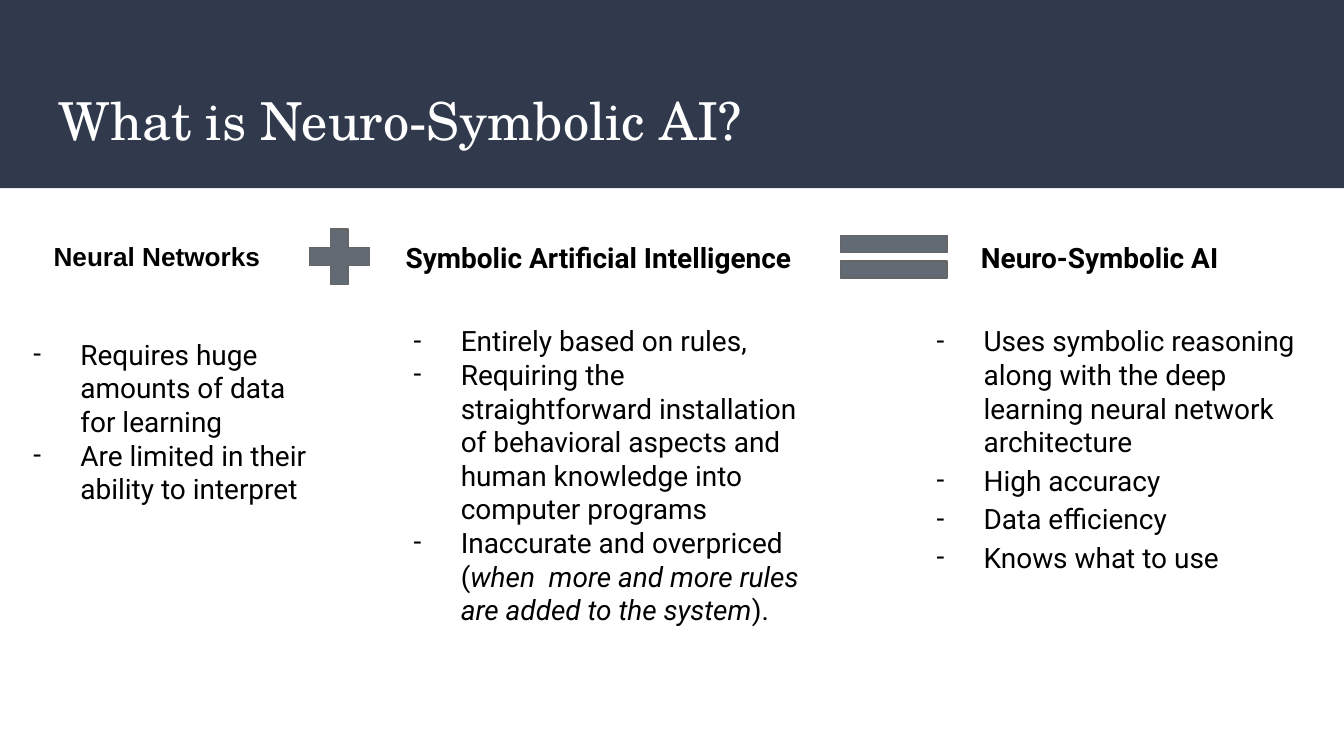
"""Build the slide that explains neuro-symbolic AI as a sum of two approaches."""
from dataclasses import dataclass

from lxml.etree import SubElement
from pptx import Presentation
from pptx.dml.color import RGBColor
from pptx.enum.shapes import MSO_SHAPE
from pptx.enum.text import MSO_ANCHOR
from pptx.oxml.ns import qn
from pptx.util import Inches, Pt


@dataclass(frozen=True)
class Theme:
    band: str = "31394D"
    title: str = "FFFFFF"
    text: str = "000000"
    sign: str = "626B73"
    sign_edge: str = "666666"
    title_font: str = "TeX Gyre Schola"
    body_font: str = "Roboto"
    plain_font: str = "Arial"
    title_size: int = 28
    body_size: int = 15
    plain_size: int = 14


class SlideBuilder:
    def __init__(self, slide, theme):
        self.slide = slide
        self.theme = theme

    def shape(self, kind, box, fill, edge=None, adjustments=()):
        shape = self.slide.shapes.add_shape(kind, *map(Inches, box))
        shape.shadow.inherit = False
        shape.fill.solid()
        shape.fill.fore_color.rgb = RGBColor.from_string(fill)
        if edge:
            shape.line.color.rgb = RGBColor.from_string(edge)
            shape.line.width = Pt(0.75)
        else:
            shape.line.fill.background()
        for index, value in enumerate(adjustments):
            shape.adjustments[index] = value

    def sign(self, kind, box, adjustments):
        self.shape(kind, box, self.theme.sign, self.theme.sign_edge, adjustments)

    def frame(self, box):
        frame = self.slide.shapes.add_textbox(*map(Inches, box)).text_frame
        frame.word_wrap = True
        frame.margin_left = frame.margin_right = Inches(0.1)
        frame.margin_top = frame.margin_bottom = Inches(0.1)
        return frame

    def run(self, paragraph, text, font, size, color, bold=False, italic=False):
        run = paragraph.add_run()
        run.text = text
        run.font.name = font
        run.font.size = Pt(size)
        run.font.bold = bold
        run.font.italic = italic
        run.font.color.rgb = RGBColor.from_string(color)

    def title(self, text, box):
        theme = self.theme
        frame = self.frame(box)
        frame.vertical_anchor = MSO_ANCHOR.MIDDLE
        self.run(frame.paragraphs[0], text, theme.title_font, theme.title_size, theme.title)

    def heading(self, text, box, font, size):
        paragraph = self.frame(box).paragraphs[0]
        self.run(paragraph, text, font, size, self.theme.text, bold=True)

    def dash(self, paragraph):
        properties = paragraph._p.get_or_add_pPr()
        properties.set("marL", str(Inches(0.5)))
        properties.set("indent", str(Inches(-0.35)))
        color = SubElement(properties, qn("a:buClr"))
        SubElement(color, qn("a:srgbClr"), val=self.theme.text)
        SubElement(properties, qn("a:buFont"), typeface=self.theme.body_font)
        SubElement(properties, qn("a:buChar"), char="-")

    def bullets(self, items, box):
        theme = self.theme
        frame = self.frame(box)
        for index, (spacing, *parts) in enumerate(items):
            paragraph = frame.add_paragraph() if index else frame.paragraphs[0]
            paragraph.line_spacing = spacing
            self.dash(paragraph)
            for text, italic in parts:
                self.run(paragraph, text, theme.body_font, theme.body_size,
                         theme.text, italic=italic)


def main():
    presentation = Presentation()
    presentation.slide_width = Inches(10)
    presentation.slide_height = Inches(10 * 9 / 16)
    theme = Theme()
    builder = SlideBuilder(presentation.slides.add_slide(presentation.slide_layouts[6]), theme)

    builder.shape(MSO_SHAPE.RECTANGLE, (0, 0, 10, 1.4), theme.band)
    builder.title("What is Neuro-Symbolic AI?", (0.34, 0.55, 9.32, 0.68))

    heading_top = 1.69
    headings = [
        ("Neural Networks", 0.3, 2.45, theme.plain_font, theme.plain_size),
        ("Symbolic Artificial Intelligence", 2.92, 3.28, theme.body_font, theme.body_size),
        ("Neuro-Symbolic AI", 7.2, 3.28, theme.body_font, theme.body_size),
    ]
    for text, left, width, font, size in headings:
        builder.heading(text, (left, heading_top, width, 0.45), font, size)

    neural = [
        (1.0, ("Requires huge amounts of data for learning", False)),
        (1.0, ("Are limited in their ability to interpret", False)),
    ]
    symbolic = [
        (1.0, ("Entirely based on rules,", False)),
        (1.0, ("Requiring the straightforward installation of behavioral aspects "
               "and human knowledge into computer programs", False)),
        (1.0, ("Inaccurate and overpriced (", False),
         ("when  more and more rules are added to the system", True),
         (").", False)),
    ]
    neuro_symbolic = [
        (1.0, ("Uses symbolic reasoning along with the deep learning neural "
               "network architecture", False)),
        (1.15, ("High accuracy", False)),
        (1.15, ("Data efficiency", False)),
        (1.15, ("Knows what to use", False)),
    ]
    builder.bullets(neural, (0, 2.41, 2.45, 1.46))
    builder.bullets(symbolic, (2.83, 2.31, 3.28, 2.47))
    builder.bullets(neuro_symbolic, (6.72, 2.31, 3.28, 2.05))

    builder.sign(MSO_SHAPE.MATH_PLUS, (2.22, 1.63, 0.61, 0.56), (0.235,))
    builder.sign(MSO_SHAPE.MATH_EQUAL, (6.11, 1.64, 1.08, 0.54), (0.235, 0.118))

    presentation.save("out.pptx")


if __name__ == "__main__":
    main()
